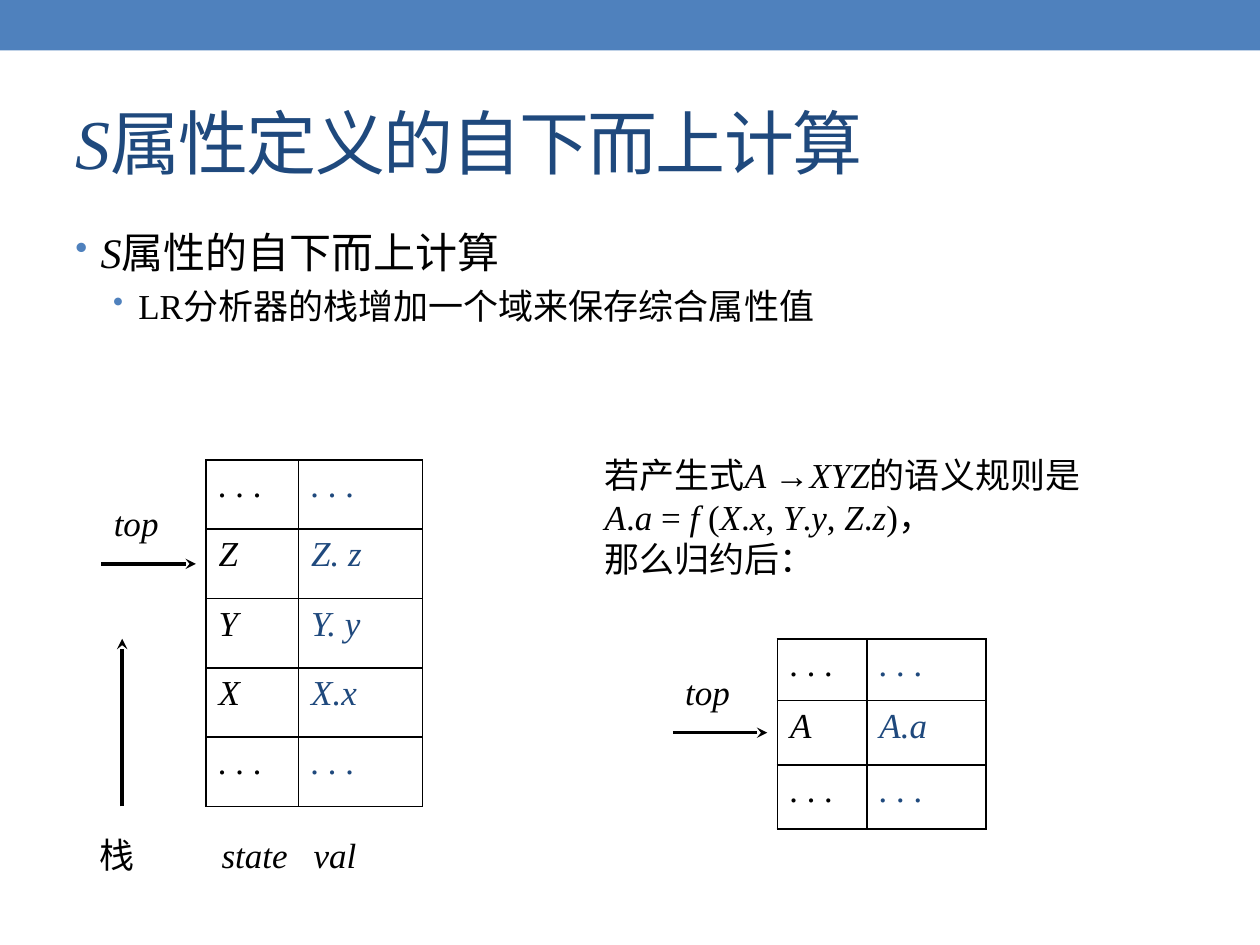
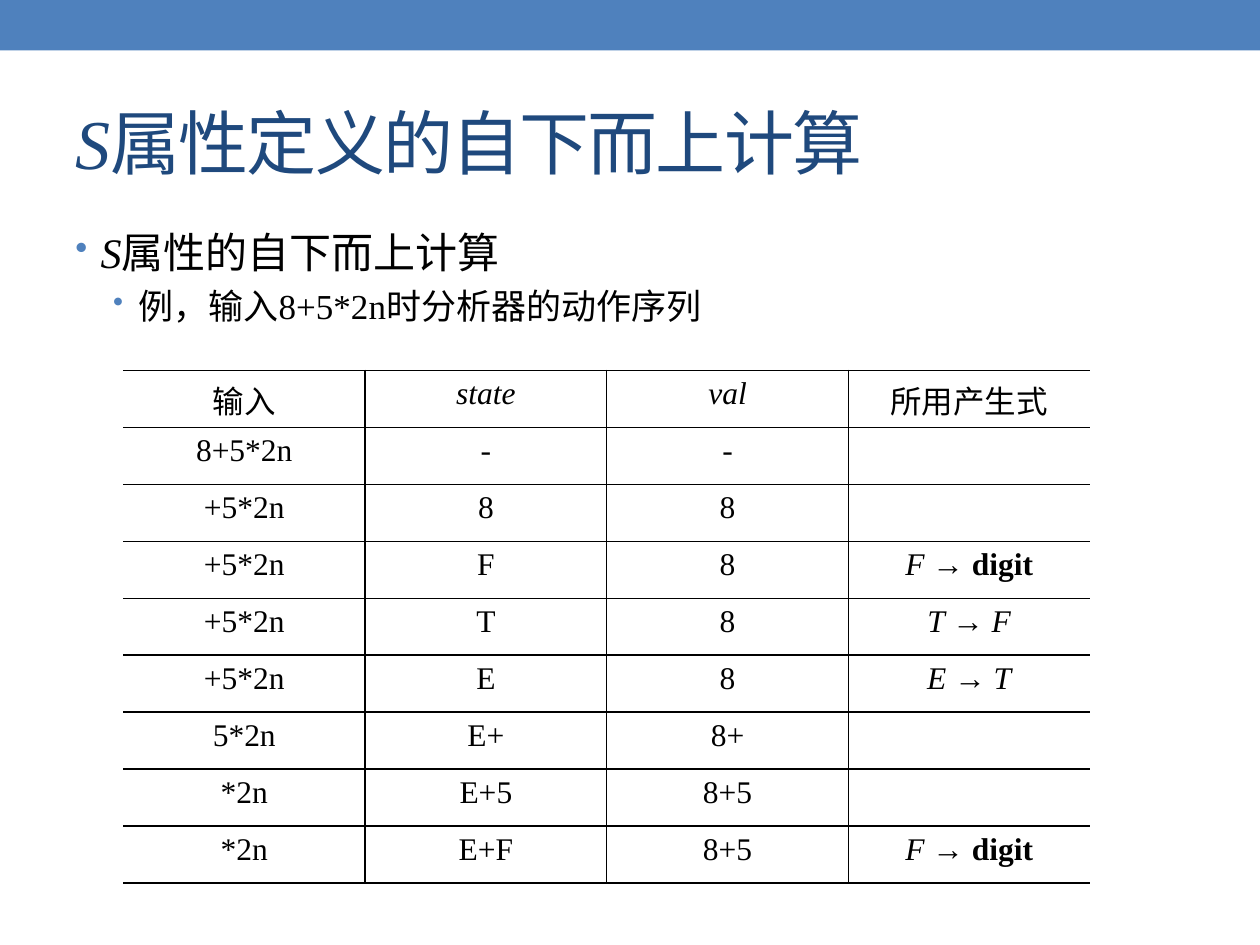
from lxml import etree
from pptx import Presentation
from pptx.dml.color import RGBColor
from pptx.enum.shapes import MSO_CONNECTOR, MSO_SHAPE
from pptx.enum.text import MSO_ANCHOR, PP_ALIGN
from pptx.oxml.ns import qn
from pptx.util import Inches, Pt

RECTANGLE = MSO_SHAPE.RECTANGLE
STRAIGHT = MSO_CONNECTOR.STRAIGHT
TOP, MIDDLE = MSO_ANCHOR.TOP, MSO_ANCHOR.MIDDLE
LEFT, CENTER = PP_ALIGN.LEFT, PP_ALIGN.CENTER

# The slide is a grid of 100 columns and 75 rows of square units.
COLUMNS, ROWS = 100, 75
FONT = "Times New Roman"
BLACK, NAVY, BLUE = "000000", "1F497D", "4F81BD"
TITLE = "_S_属性定义的自下而上计算"
HEADING = "_S_属性的自下而上计算"


def grid(units):
    """Convert grid units to a length."""
    return Inches(units / 10)


def color(value):
    """Convert a hex string to a colour."""
    return RGBColor.from_string(value)


def write(paragraph, text, size, ink=BLACK, align=LEFT):
    """Fill a paragraph; _x_ marks italic text and #x# bold text."""
    paragraph.alignment = align
    for i, slanted in enumerate(text.split("_")):
        for j, part in enumerate(slanted.split("#")):
            if not part:
                continue
            run = paragraph.add_run()
            run.text = part
            run.font.name = FONT
            run.font.size = Pt(size)
            run.font.color.rgb = color(ink)
            run.font.italic = i % 2 == 1
            run.font.bold = j % 2 == 1


def add_text(slide, box, lines, size, anchor=TOP, wrap=False):
    """Add a text box with one paragraph a line and return its frame."""
    shape = slide.shapes.add_textbox(*map(grid, box))
    frame = shape.text_frame
    frame.word_wrap = wrap
    frame.vertical_anchor = anchor
    for index, line in enumerate(lines):
        paragraph = frame.add_paragraph() if index else frame.paragraphs[0]
        write(paragraph, line, size)
    return frame


def add_bullet(paragraph, indent):
    """Give a paragraph a blue hanging bullet."""
    properties = paragraph._p.get_or_add_pPr()
    properties.set("marL", str(grid(indent)))
    properties.set("indent", str(grid(-2)))
    bullet_color = etree.SubElement(properties, qn("a:buClr"))
    etree.SubElement(bullet_color, qn("a:srgbClr"), val=BLUE)
    etree.SubElement(properties, qn("a:buSzPct"), val="85000")
    etree.SubElement(properties, qn("a:buChar"), char="•")


def add_tab_stops(paragraph, stops):
    """Set left tab stops, in grid units from the text edge."""
    tabs = etree.SubElement(paragraph._p.get_or_add_pPr(), qn("a:tabLst"))
    for stop in stops:
        etree.SubElement(tabs, qn("a:tab"), pos=str(grid(stop)), algn="l")


def add_arrow(slide, start, end):
    """Draw a black arrow between two grid points."""
    arrow = slide.shapes.add_connector(STRAIGHT, *map(grid, start + end))
    arrow.line.color.rgb = color(BLACK)
    arrow.line.width = Pt(2)
    etree.SubElement(arrow.line._get_or_add_ln(), qn("a:tailEnd"), type="stealth")
    etree.SubElement(arrow._element.spPr, qn("a:effectLst"))


def set_borders(cell, hidden):
    """Give a cell thin black borders, except on the hidden sides."""
    properties = cell._tc.get_or_add_tcPr()
    for index, side in enumerate("LRTB"):
        line = etree.Element(qn("a:ln" + side), w=str(Pt(1)))
        if side in hidden:
            etree.SubElement(line, qn("a:noFill"))
        else:
            fill = etree.SubElement(line, qn("a:solidFill"))
            etree.SubElement(fill, qn("a:srgbClr"), val=BLACK)
        properties.insert(index, line)


def add_grid_table(slide, corner, widths, heights, rows, size,
                   inks, align=LEFT, open_sides=False):
    """Add a ruled table; inks holds one text colour for each column."""
    frame = slide.shapes.add_table(len(rows), len(widths), *map(
        grid, (*corner, sum(widths), sum(heights))))
    table = frame.table
    table.first_row = table.horz_banding = False
    for column, width in zip(table.columns, widths):
        column.width = grid(width)
    last = len(widths) - 1
    for r, texts in enumerate(rows):
        table.rows[r].height = grid(heights[r])
        for c, text in enumerate(texts):
            cell = table.cell(r, c)
            cell.fill.background()
            write(cell.text_frame.paragraphs[0], text, size, inks[c], align)
            hidden = {0: "L", last: "R"}.get(c, "") if open_sides else ""
            set_borders(cell, hidden)


def add_stack(slide, corner, widths, heights, symbols):
    """Add a parser stack: state and val columns with a pointer to the top."""
    dots = "_. . ._"
    rows = [(dots, dots), *symbols, (dots, dots)]
    add_grid_table(slide, corner, widths, heights, rows, 20, (BLACK, NAVY))
    left = corner[0] - 8.3
    row = corner[1] + heights[0] + heights[1] / 2
    add_arrow(slide, (left, row), (left + 7.5, row))
    add_text(slide, (left, row - 5.8, 6.7, 5), ["_top_"], 20, MIDDLE)


def add_base_slide(presentation, subheading):
    """Add a slide with the band, the title and the two bullets."""
    slide = presentation.slides.add_slide(presentation.slide_layouts[5])
    band = slide.shapes.add_shape(RECTANGLE, 0, 0, grid(COLUMNS), grid(4))
    band.shadow.inherit = False
    band.fill.solid()
    band.fill.fore_color.rgb = color(BLUE)
    band.line.fill.background()

    title = slide.shapes.title
    title.left, title.top, title.width, title.height = map(
        grid, (5, 5.8, 90, 10.8))
    title.text_frame.vertical_anchor = MIDDLE
    paragraph = title.text_frame.paragraphs[0]
    write(paragraph, TITLE, 40, NAVY)
    for run in paragraph.runs:
        run.font._element.set("spc", "-100")

    body = add_text(slide, (5, 17.5, 90, 53.3), [HEADING], 24, wrap=True)
    detail = body.add_paragraph()
    detail.level = 1
    detail.space_before = Pt(4)
    write(detail, subheading, 20)
    for paragraph, indent in zip(body.paragraphs, (2, 5)):
        add_bullet(paragraph, indent)
    return slide


def add_reduction_slide(presentation):
    """Show the stack before and after a reduction."""
    slide = add_base_slide(presentation, "LR分析器的栈增加一个域来保存综合属性值")
    before = [("_Z_", "_Z. z_"), ("_Y_", "_Y. y_"), ("_X_", "_X.x_")]
    add_stack(slide, (16.35, 36.5), (7.35, 9.85), [5.5] * 5, before)
    add_arrow(slide, (9.7, 64), (9.7, 50.7))
    add_stack(slide, (61.7, 50.7), (7.1, 9.45), (4.9, 5.1, 5.1),
              [("_A_", "_A.a_")])
    add_text(slide, (47, 35.5, 41.2, 15), [
        "若产生式_A _→_XYZ_的语义规则是",
        "_A_._a_ = _f _(_X_._x_, _Y_._y_, _Z_._z_)，",
        "那么归约后："], 20)
    captions = add_text(slide, (6.9, 64.9, 31.7, 5.8),
                        ["栈\t_state_\t_val_"], 20, MIDDLE, wrap=True)
    add_tab_stops(captions.paragraphs[0], (9.7, 17))


def add_sequence_slide(presentation):
    """Show the parser's actions on one input."""
    slide = add_base_slide(presentation, "例，输入8+5*2n时分析器的动作序列")
    rows = [
        ("输入", "_state_", "_val_", "所用产生式"),
        ("8+5*2n", "-", "-", ""),
        ("+5*2n", "8", "8", ""),
        ("+5*2n", "F", "8", "_F _→ #digit#"),
        ("+5*2n", "T", "8", "_T _→ _F_"),
        ("+5*2n", "E", "8", "_E _→ _T_"),
        ("5*2n", "E+", "8+", ""),
        ("*2n", "E+5", "8+5", ""),
        ("*2n", "E+F", "8+5", "_F _→ #digit#"),
    ]
    add_grid_table(slide, (9.8, 29.4), [19.18] * 4, [4.52] * len(rows), rows,
                   18, [BLACK] * 4, CENTER, open_sides=True)


def main():
    """Build and save the presentation."""
    presentation = Presentation()
    presentation.slide_width = grid(COLUMNS)
    presentation.slide_height = grid(ROWS)
    add_reduction_slide(presentation)
    add_sequence_slide(presentation)
    presentation.save("out.pptx")


main()
